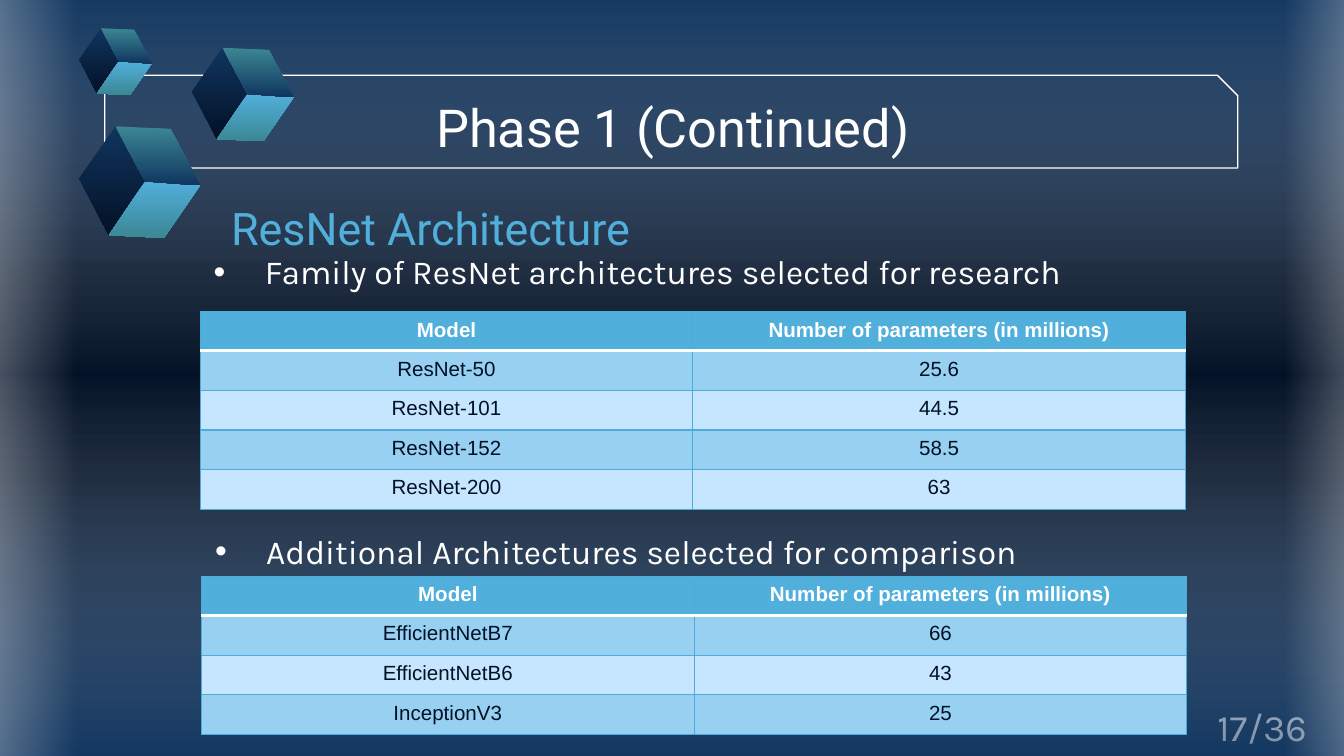
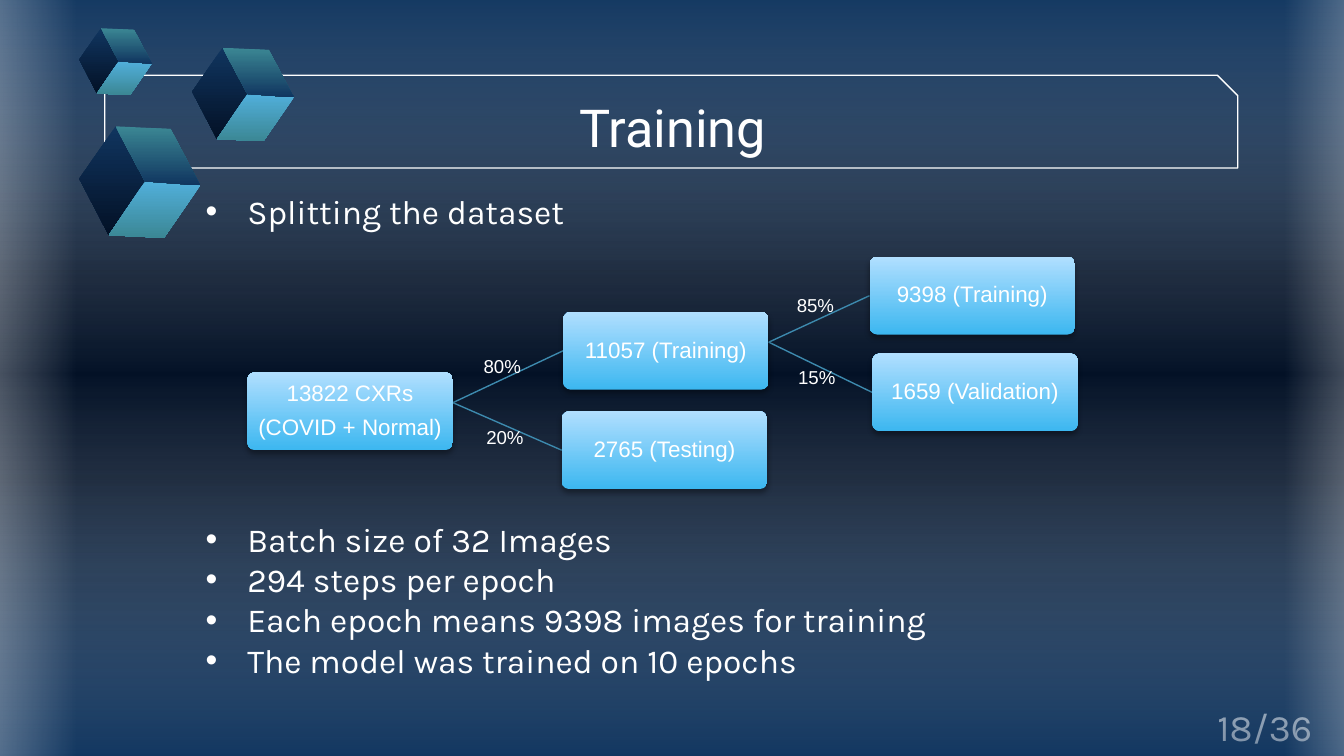
from dataclasses import dataclass
from typing import NamedTuple, Optional, Sequence

import lxml.etree
import pptx
import pptx.dml.color
import pptx.enum.shapes
import pptx.enum.text
import pptx.oxml.ns
import pptx.util

COLORS = {
    "white": "FFFFFF",
    "black": "000000",
    "navy": "10355F",
    "midnight": "031126",
    "sky": "51AFDB",
    "teal": "3B8794",
    "grid line": "4CACDA",
    "dark row": "97D0F1",
    "light row": "C6E6FF",
    "node top": "B1DFFF",
    "node bottom": "3CB7F0",
    "branch": "3D8AAE",
}
COLUMNS = 100  # the grid is 100 square cells wide and 56.25 high
SLIDE_WIDTH = pptx.util.Inches(10)
SLIDE_HEIGHT = pptx.util.Inches(5.625)
PAGE_COUNT = 36

Align = pptx.enum.text.PP_ALIGN
Anchor = pptx.enum.text.MSO_ANCHOR
Preset = pptx.enum.shapes.MSO_SHAPE
qn = pptx.oxml.ns.qn


class Area(NamedTuple):
    """A rectangle in grid cells."""
    left: float
    top: float
    width: float
    height: float


class Style(NamedTuple):
    font: str
    size: float
    color: str = "white"
    bold: bool = False


class Stop(NamedTuple):
    position: int
    color: str
    opacity: int = 100


@dataclass(frozen=True)
class Overlay:
    area: Area
    rotation: int
    stops: Sequence[Stop]


@dataclass(frozen=True)
class Cube:
    left: float
    top: float
    scale: float


@dataclass(frozen=True)
class Node:
    left: float
    top: float
    lines: Sequence[str]


@dataclass(frozen=True)
class Branch:
    start: Node
    end: Node
    share: str
    label_left: float
    label_top: float


TITLE = Style("Roboto", 28)
HEADING = Style("Roboto", 24, "sky")
BODY = Style("Karla", 18)
PAGE_NUMBER = Style("Karla", 20)
NODE_TEXT = Style("Arial", 12)
SHARE = Style("Arial", 10)
TABLE_HEAD = Style("Arial", 11, bold=True)
TABLE_BODY = Style("Arial", 11, "midnight")

BACKGROUND = [Stop(0, "navy"), Stop(37, "midnight"), Stop(63, "midnight"), Stop(100, "navy")]
GLOW = [Stop(0, "white", 47), Stop(100, "white", 0)]
OVERLAYS = [
    Overlay(Area(22, -23.3, 58.1, 102.1), 270,
            [Stop(0, "navy", 59), Stop(50, "white", 0), Stop(100, "navy", 59)]),
    Overlay(Area(-4.1, -0.9, 9.8, 58), 180, GLOW),
    Overlay(Area(95.6, -1.3, 8.5, 58), 0, GLOW),
]

CUBES = [Cube(5.9, 9.4, 1), Cube(14.3, 3.55, 0.84), Cube(5.9, 2.1, 0.6)]
CORNERS = {
    "back": (2.7, 0), "left": (0, 3.9), "bottom": (2.2, 8.1), "middle": (4.9, 4.1),
    "right": (9, 4.4), "front": (6.3, 8.3), "top": (6.8, 0.2),
}
FACES = [
    (("back", "left", "bottom", "middle"), "navy", "midnight"),
    (("middle", "right", "front", "bottom"), "sky", "teal"),
    (("back", "top", "right", "middle"), "teal", "navy"),
]

NODE_WIDTH, NODE_HEIGHT = 15.3, 5.8
FORK = 0.39  # height share of a node at which its branches start

HEADER = ("Model", "Number of parameters (in millions)")
RESNETS = [HEADER, ("ResNet-50", "25.6"), ("ResNet-101", "44.5"),
           ("ResNet-152", "58.5"), ("ResNet-200", "63")]
OTHERS = [HEADER, ("EfficientNetB7", "66"), ("EfficientNetB6", "43"), ("InceptionV3", "25")]


def cells(count: float) -> int:
    return round(count * SLIDE_WIDTH / COLUMNS)


def rgb(color: str) -> pptx.dml.color.RGBColor:
    return pptx.dml.color.RGBColor.from_string(COLORS[color])


def add_color(parent, color: str, opacity: int = 100) -> None:
    node = lxml.etree.SubElement(parent, qn("a:srgbClr"), val=COLORS[color])
    if opacity < 100:
        lxml.etree.SubElement(node, qn("a:alpha"), val=str(opacity * 1000))


def paint_gradient(fill, owner, stops: Sequence[Stop], angle: int) -> None:
    """Give the owner's fill these stops, at a clockwise angle."""
    fill.gradient()
    stop_list = owner.element.xpath(".//a:gsLst")[0]
    for old in list(stop_list):
        stop_list.remove(old)
    for stop in stops:
        node = lxml.etree.SubElement(stop_list, qn("a:gs"), pos=str(stop.position * 1000))
        add_color(node, stop.color, stop.opacity)
    owner.element.xpath(".//a:gradFill/a:lin")[0].set("ang", str(angle * 60000))


def add_bullet(para, indent: float) -> None:
    props = para._p.get_or_add_pPr()
    props.set("marL", str(cells(indent)))
    props.set("indent", str(-cells(indent)))
    add_color(lxml.etree.SubElement(props, qn("a:buClr")), "white")
    lxml.etree.SubElement(props, qn("a:buFont"), typeface="Arial")
    lxml.etree.SubElement(props, qn("a:buChar"), char="•")


def write(frame, lines: Sequence[str], style: Style, align=Align.LEFT, spacing: float = 1,
          after: float = 0, indent: Optional[float] = None) -> None:
    """Fill a text frame; an indent makes its lines a bulleted list."""
    frame.text = "\n".join(lines)
    for para in frame.paragraphs:
        if indent:
            add_bullet(para, indent)
        para.alignment = align
        para.line_spacing = spacing
        para.space_before = pptx.util.Pt(0)
        para.space_after = pptx.util.Pt(after)
        for span in para.runs:
            span.font.name = style.font
            span.font.size = pptx.util.Pt(style.size)
            span.font.bold = style.bold
            span.font.color.rgb = rgb(style.color)


def set_margins(frame, side: float, end: float) -> None:
    frame.margin_left = frame.margin_right = cells(side)
    frame.margin_top = frame.margin_bottom = cells(end)


def place_text(holder, area: Area, anchor=Anchor.TOP, end_margin: float = 1):
    """Move a placeholder to the front and to its area; return its text frame."""
    holder.element.getparent().append(holder.element)
    holder.left, holder.top, holder.width, holder.height = map(cells, area)
    frame = holder.text_frame
    frame.auto_size = pptx.enum.text.MSO_AUTO_SIZE.NONE
    frame.word_wrap = True
    frame.vertical_anchor = anchor
    set_margins(frame, 1, end_margin)
    return frame


def add_preset(page, preset, area: Area):
    shape = page.shapes.add_shape(preset, *map(cells, area))
    shape.shadow.inherit = False
    shape.line.fill.background()
    return shape


def add_label(page, area: Area, text: str, style: Style) -> None:
    box = page.shapes.add_textbox(*map(cells, area))
    write(box.text_frame, [text], style)


def add_cube(page, cube: Cube) -> None:
    for corners, first, last in FACES:
        points = [(cells(cube.left + CORNERS[name][0] * cube.scale),
                   cells(cube.top + CORNERS[name][1] * cube.scale)) for name in corners]
        outline = page.shapes.build_freeform(*points[0])
        outline.add_line_segments(points[1:], close=True)
        face = outline.convert_to_shape()
        face.shadow.inherit = False
        face.line.fill.background()
        paint_gradient(face.fill, face, [Stop(0, first), Stop(100, last)], 90)


def add_page(deck, layout: str, number: int, title: str):
    page = deck.slides.add_slide(deck.slide_layouts.get_by_name(layout))
    add_label(page, Area(89.6, 51.9, 17.7, 4.4), f"{number}/{PAGE_COUNT}", PAGE_NUMBER)
    for overlay in OVERLAYS:
        panel = add_preset(page, Preset.RECTANGLE, overlay.area)
        panel.rotation = overlay.rotation
        paint_gradient(panel.fill, panel, overlay.stops, 180)
    border = add_preset(page, Preset.SNIP_2_DIAG_RECTANGLE, Area(7.8, 5.6, 84.3, 6.9))
    border.adjustments[0], border.adjustments[1] = 0, 0.22
    border.fill.background()
    border.line.color.rgb = rgb("white")
    border.line.width = pptx.util.Pt(0.75)
    frame = place_text(page.shapes.title, Area(7.9, 5.9, 84.3, 6.3), Anchor.MIDDLE)
    write(frame, [title], TITLE, Align.CENTER, spacing=1.15)
    for cube in CUBES:
        add_cube(page, cube)
    return page


def set_border(cell, edge: str, color: str, width: float) -> None:
    line = lxml.etree.SubElement(cell._tc.get_or_add_tcPr(), qn(f"a:{edge}"),
                                 w=str(pptx.util.Pt(width)))
    add_color(lxml.etree.SubElement(line, qn("a:solidFill")), color)


def add_model_table(page, left: float, top: float, rows: Sequence[Sequence[str]]) -> None:
    area = Area(left, top, 73.3, 2.94 * len(rows))
    table = page.shapes.add_table(len(rows), len(HEADER), *map(cells, area)).table
    table.first_row = table.horz_banding = False
    thin, rule = ("grid line", 0.75), ("white", 2)
    for row, values in enumerate(rows):
        table.rows[row].height = cells(2.95 if row else 2.9)
        color = "sky" if row == 0 else "dark row" if row % 2 else "light row"
        for column, value in enumerate(values):
            cell = table.cell(row, column)
            write(cell.text_frame, [value], TABLE_BODY if row else TABLE_HEAD, Align.CENTER)
            set_border(cell, "lnL", *thin)
            set_border(cell, "lnR", *thin)
            set_border(cell, "lnT", *(rule if row == 1 else thin))
            set_border(cell, "lnB", *(rule if row == 0 else thin))
            cell.fill.solid()
            cell.fill.fore_color.rgb = rgb(color)


def add_node(page, node: Node) -> None:
    area = Area(node.left, node.top, NODE_WIDTH, NODE_HEIGHT)
    box = add_preset(page, Preset.ROUNDED_RECTANGLE, area)
    box.adjustments[0] = 0.1
    paint_gradient(box.fill, box, [Stop(0, "node bottom"), Stop(100, "node top")], 270)
    shadow = lxml.etree.SubElement(
        box.element.spPr.find(qn("a:effectLst")), qn("a:outerShdw"),
        blurRad=str(pptx.util.Pt(3.1)), dist=str(pptx.util.Pt(1.8)), dir="5400000")
    add_color(shadow, "black", 35)
    frame = box.text_frame
    frame.word_wrap = True
    frame.vertical_anchor = Anchor.MIDDLE
    set_margins(frame, 0.25, 0.25)
    write(frame, node.lines, NODE_TEXT, Align.CENTER, spacing=0.9, after=4.8)


def add_branch(page, branch: Branch) -> None:
    start, end = branch.start, branch.end
    ends = (start.left + NODE_WIDTH, start.top + FORK * NODE_HEIGHT,
            end.left, end.top + NODE_HEIGHT / 2)
    line = page.shapes.add_connector(pptx.enum.shapes.MSO_CONNECTOR.STRAIGHT, *map(cells, ends))
    line.line.color.rgb = rgb("branch")
    line.line.width = pptx.util.Pt(0.75)
    lxml.etree.SubElement(line.element.spPr, qn("a:effectLst"))


def build_architectures(deck) -> None:
    page = add_page(deck, "Comparison", 17, "Phase 1 (Continued)")
    heading, family, additional, spare = list(page.placeholders)[1:]
    spare.element.getparent().remove(spare.element)
    frame = place_text(heading, Area(16.2, 15.7, 73.3, 4.2), Anchor.BOTTOM)
    write(frame, ["ResNet Architecture"], HEADING, indent=None)
    frame = place_text(family, Area(14.9, 17.7, 74.6, 4.4))
    write(frame, ["Family of ResNet architectures selected for research"], BODY, indent=3.8)
    add_model_table(page, 14.9, 23.2, RESNETS)
    frame = place_text(additional, Area(15, 38.5, 74.6, 4.4))
    write(frame, ["Additional Architectures selected for comparison"], BODY, indent=3.8)
    add_model_table(page, 15, 42.9, OTHERS)


def build_training(deck) -> None:
    page = add_page(deck, "Two Content", 18, "Training")
    splitting, settings = list(page.placeholders)[1:]
    frame = place_text(splitting, Area(14.3, 13.7, 49.9, 4), end_margin=0.5)
    write(frame, ["Splitting the dataset"], BODY, indent=3.1)

    dataset = Node(18.4, 27.7, ["13822 CXRs", "(COVID + Normal)"])
    training = Node(41.9, 23.2, ["11057 (Training)"])
    testing = Node(41.8, 30.6, ["2765 (Testing)"])
    final_training = Node(64.7, 19.1, ["9398 (Training)"])
    validation = Node(64.9, 26.3, ["1659 (Validation)"])
    branches = [
        Branch(dataset, training, "80%", 35, 25.9),
        Branch(dataset, testing, "20%", 35.2, 31.2),
        Branch(training, final_training, "85%", 58.3, 21.4),
        Branch(training, validation, "15%", 58.4, 26.7),
    ]
    for branch in branches:
        add_branch(page, branch)
    for node in [dataset] + [branch.end for branch in branches]:
        add_node(page, node)

    frame = place_text(settings, Area(14.3, 38.1, 74.1, 13.1), end_margin=0.5)
    write(frame, ["Batch size of 32 Images", "294 steps per epoch",
                  "Each epoch means 9398 images for training",
                  "The model was trained on 10 epochs"], BODY, indent=3.1)
    for branch in branches:
        area = Area(branch.label_left, branch.label_top, 4.8, 2.7)
        add_label(page, area, branch.share, SHARE)


def main() -> None:
    deck = pptx.Presentation()
    deck.slide_width, deck.slide_height = SLIDE_WIDTH, SLIDE_HEIGHT
    master = deck.slide_master
    paint_gradient(master.background.fill, master, BACKGROUND, 90)
    build_architectures(deck)
    build_training(deck)
    deck.save("out.pptx")


if __name__ == "__main__":
    main()
